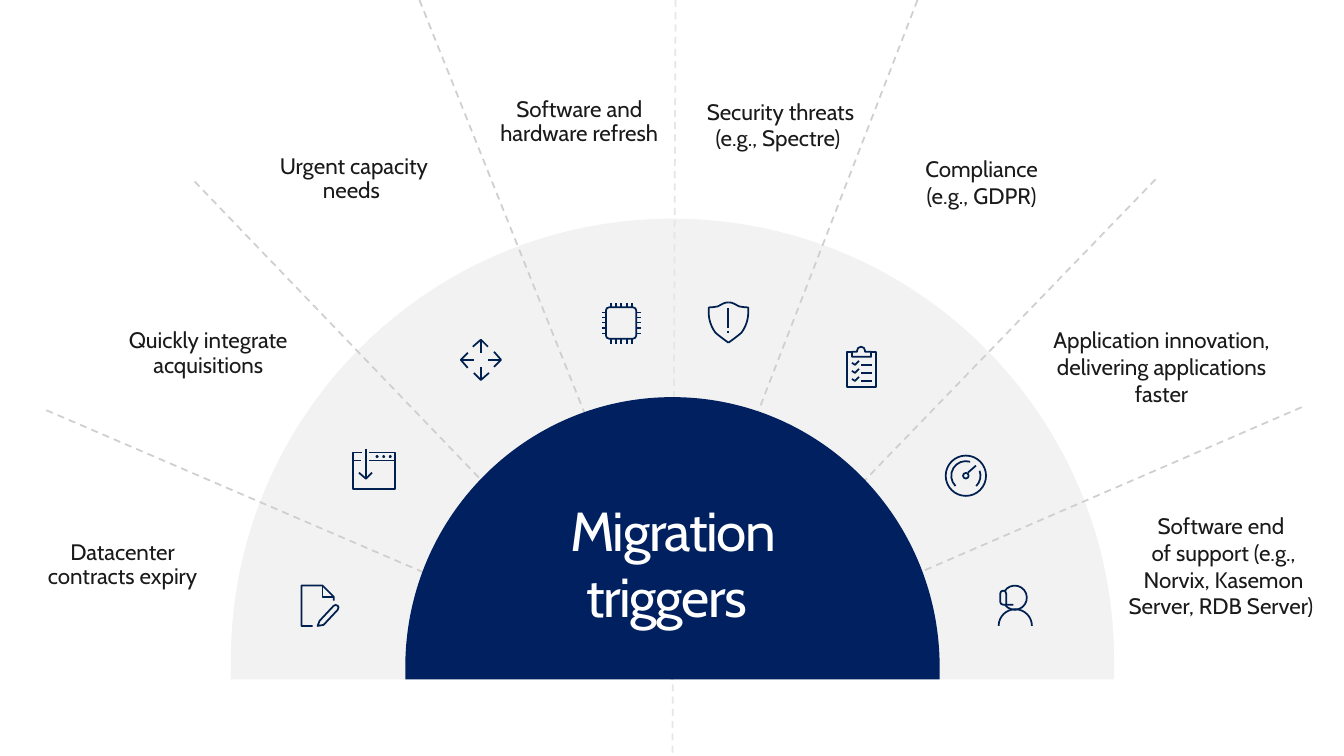
from math import ceil, cos, radians, sin, tan

from lxml.etree import SubElement
from pptx import Presentation
from pptx.dml.color import RGBColor
from pptx.enum.dml import MSO_LINE as Dash
from pptx.enum.shapes import MSO_CONNECTOR as Link
from pptx.enum.text import MSO_ANCHOR as Anchor, MSO_AUTO_SIZE as Fit, PP_ALIGN as Align
from pptx.oxml.ns import qn
from pptx.util import Inches, Pt

NAVY = RGBColor(0x00, 0x20, 0x60)
INK = RGBColor(0x00, 0x20, 0x50)
TEXT = RGBColor(0x1A, 0x1A, 0x1A)
WHITE = RGBColor(0xFF, 0xFF, 0xFF)
PALE = RGBColor(0xE6, 0xE6, 0xE6)
GREY = RGBColor(0xCF, 0xCF, 0xCF)
FONT = "Cabin"


# A stroke lists points (x, y) and Bezier steps (x1, y1, x2, y2, x, y)
def arc(x, y, rx, start, end, ry=None):
    ry = ry or rx
    count = ceil(abs(end - start) / 90)
    step = radians(end - start) / count
    pull = 4 / 3 * tan(step / 4)
    t = radians(start)
    stroke = [(x + rx * cos(t), y + ry * sin(t))]
    for _ in range(count):
        u = t + step
        stroke.append((
            x + rx * (cos(t) - pull * sin(t)), y + ry * (sin(t) + pull * cos(t)),
            x + rx * (cos(u) + pull * sin(u)), y + ry * (sin(u) - pull * cos(u)),
            x + rx * cos(u), y + ry * sin(u)))
        t = u
    return stroke


# Icons: strokes in hundredths of an inch from the icon's top left
def window():
    dots = [arc(x, 8, 0.7, 0, 360) for x in (24, 30.5, 37)]
    return dots + [
        [(16, 4), (42, 4), (42, 40), (0, 40), (0, 4), (9, 4)],
        [(16, 12), (42, 12)], [(0, 12), (8, 12)],
        [(6, 24), (13, 30), (19, 24)], [(13, 0), (13, 30)]]


def arrows():
    part = [[(7, 28), (0, 20), (7, 13)], [(1, 20), (13, 20)]]
    strokes = []
    for _ in range(4):
        strokes += part
        part = [[(40 - y, x) for x, y in line] for line in part]
    return strokes


def chip():
    body = (arc(7, 7, 3, 180, 270) + arc(31, 7, 3, 270, 360)
            + arc(31, 32, 3, 0, 90) + arc(7, 32, 3, 90, 180))
    strokes = [body + body[:1]]
    for pin in (9, 14, 19, 24.5, 30):
        strokes += [[(pin, a), (pin, b)] for a, b in ((0, 4), (35, 40))]
        strokes += [[(a, pin), (b, pin)] for a, b in ((0, 4), (34, 39))]
    return strokes


def shield():
    left = [(19.5, 0), (15, 0, 13, 2, 9, 4), (4, 5, 0, 5, 0, 5), (0, 12),
            (0, 12, 0, 21, 6.5, 30), (11, 34, 19.5, 40, 19.5, 40)]
    right = [tuple(n if i % 2 else 39 - n for i, n in enumerate(step)) for step in left]
    return [left, right, [(19, 6), (19, 25)], [(19, 28), (19, 30)]]


def clipboard():
    clip = arc(14, 4, 4, 180, 360)
    strokes = [
        clip + [(18, 5), (24, 5), (24, 10), (5, 10), (5, 5), (10, 5), (10, 4)],
        [(5, 5), (0, 5), (0, 40), (29, 40), (29, 5), (24, 5)]]
    for y in (18, 26, 34):
        strokes += [[(25, y), (14, y)], [(5, y - 2), (8, y), (12, y - 4)]]
    return strokes


def gauge():
    return [arc(20, 20, 2.8, 0, 360), arc(20, 20, 20, 0, 360),
            arc(20, 20, 14.5, 45, -20), arc(20, 20, 14.5, -73, -225),
            [(30, 10), (22, 17)]]


def agent():
    phone = [(8, 19)] + arc(5, 8, 3, 0, -180) + arc(5, 16, 3, 180, 90) + [(15, 19)]
    return [arc(17, 40, 16.5, 180, 360), phone, arc(16.5, 12, 12, 143, -148)]


def paper():
    pen = [(16, 40), (22, 39), (36, 24), (37, 22, 37, 21, 36, 20),
           (35, 19, 33, 19, 32, 20), (18, 35), (16, 40)]
    return [[(32, 11), (21, 11), (21, 0)], pen,
            [(32, 15), (32, 11), (21, 0), (0, 0), (0, 40), (11, 40)]]


def draw(slide, strokes, left=0, top=0, unit=1):
    """Join strokes into one freeform."""
    def place(x, y):
        return Inches(left + x * unit), Inches(top + y * unit)
    pen = None
    for stroke in strokes:
        first, *rest = [place(*step[-2:]) for step in stroke]
        if pen is None:
            pen = slide.shapes.build_freeform(*first)
        else:
            pen.move_to(*first)
        pen.add_line_segments(rest, close=False)
    shape = pen.convert_to_shape()
    shape.shadow.inherit = False
    # Turn the Bezier steps into curves
    nodes = list(next(shape._element.iter(qn("a:path"))))
    for node, step in zip(nodes, sum(strokes, [])):
        if len(step) == 6:
            node.tag = qn("a:cubicBezTo")
            for i in (0, 2):
                x, y = place(*step[i:i + 2])
                spot = SubElement(node, qn("a:pt"))
                spot.set("x", str(x - shape.left))
                spot.set("y", str(y - shape.top))
            node.append(node[0])
    return shape


def dome(slide, box, base, color, alpha=None):
    """Half disc: box is centre x, centre y and both radii."""
    x, y, rx, ry = box
    edge = arc(x, y, rx, 180, 360, ry)
    shape = draw(slide, [edge + [(x + rx, base), (x - rx, base), edge[0]]])
    shape.line.fill.background()
    shape.fill.solid()
    shape.fill.fore_color.rgb = color
    if alpha:
        tint = shape.fill._xPr.find(qn("a:solidFill"))[0]
        SubElement(tint, qn("a:alpha")).set("val", str(alpha * 1000))


def ray(slide, start, end, color):
    ends = [Inches(n) for n in start + end]
    line = slide.shapes.add_connector(Link.STRAIGHT, *ends)
    line.line.color.rgb = color
    line.line.width = Pt(1.25)
    line.line.dash_style = Dash.DASH
    SubElement(line._element.spPr, qn("a:effectLst"))


def write(para, text, size, color):
    para.alignment = Align.CENTER
    for i, part in enumerate(text.split("\n")):
        if i:
            para.add_line_break()
        run = para.add_run()
        run.text = part
        run.font.name, run.font.size = FONT, Pt(size)
        run.font.color.rgb = color
    return run


def slice_of(slide, lines, box, pitch, icon, spot):
    """One trigger: its label in the box, its icon at the spot."""
    frame = slide.shapes.add_textbox(*map(Inches, box)).text_frame
    frame.word_wrap = True
    frame.auto_size = Fit.SHAPE_TO_FIT_TEXT
    frame.margin_left = Inches(0.2)
    for i, text in enumerate(lines):
        para = frame.add_paragraph() if i else frame.paragraphs[0]
        para.line_spacing = pitch
        write(para, text, 16, TEXT)
    shape = draw(slide, icon(), *spot, unit=0.01)
    shape.fill.background()
    shape.line.color.rgb = INK
    shape.line.width = Pt(1.25)


def heading(slide, box):
    title = slide.shapes.title
    title.left, title.top, title.width, title.height = map(Inches, box)
    frame = title.text_frame
    frame.word_wrap, frame.auto_size = True, Fit.NONE
    frame.vertical_anchor = Anchor.TOP
    run = write(frame.paragraphs[0], "Migration triggers ", 39.2, WHITE)
    run.font._element.set("spc", "-100")
    # Bring the title in front of the dome
    title._element.getparent().append(title._element)


HUB, TOP = (6.67, 6.74), (6.67, 6.28)
RAYS = [((0.46, 4.07), HUB), ((1.93, 1.8), HUB), ((12.91, 4.04), HUB),
        ((9.1, 0), TOP), ((4.16, 0), TOP), ((11.46, 1.78), HUB)]
SLICES = [
    (["Quickly integrate acquisitions"], (1, 3.22, 2.03, 0.59), 0.9, window, (3.5, 4.45)),
    (["Urgent capacity needs "], (2.36, 1.49, 2.2, 0.59), 0.9, arrows, (4.57, 3.37)),
    (["Software and hardware refresh"], (4.53, 0.92, 2.33, 0.59), 0.9, chip, (5.97, 3.01)),
    (["Security threats", "(e.g., Spectre) "], (6.68, 0.92, 2.02, 0.64), 1.0, shield, (7.03, 3)),
    (["Compliance ", "(e.g., GDPR) "], (8.45, 1.49, 2.52, 0.64), 1.0, clipboard, (8.4, 3.44)),
    (["Application innovation, delivering applications faster"],
     (10.1, 3.19, 2.74, 0.91), 1.0, gauge, (9.38, 4.52)),
    (["Software end \nof support (e.g., Norvix, Kasemon Server, RDB Server) "],
     (10.92, 5.03, 2.33, 1.18), 1.0, agent, (9.9, 5.81)),
    (["Datacenter contracts expiry"], (0.07, 5.32, 2.19, 0.59), 0.9, paper, (2.99, 5.81)),
]


def main():
    deck = Presentation()
    deck.slide_width, deck.slide_height = Inches(13.33), Inches(7.5)
    slide = deck.slides.add_slide(deck.slide_layouts[5])
    dome(slide, (6.67, 6.55, 4.38, 4.38), 6.74, PALE, 50)
    for start, end in RAYS:
        ray(slide, start, end, GREY)
    ray(slide, (6.7, 0), (6.67, 7.5), PALE)
    dome(slide, (6.67, 6.62, 2.65, 2.68), 6.74, NAVY)
    heading(slide, (5.23, 4.88, 2.88, 0.61))
    for item in SLICES:
        slice_of(slide, *item)
    deck.save("out.pptx")


if __name__ == "__main__":
    main()
